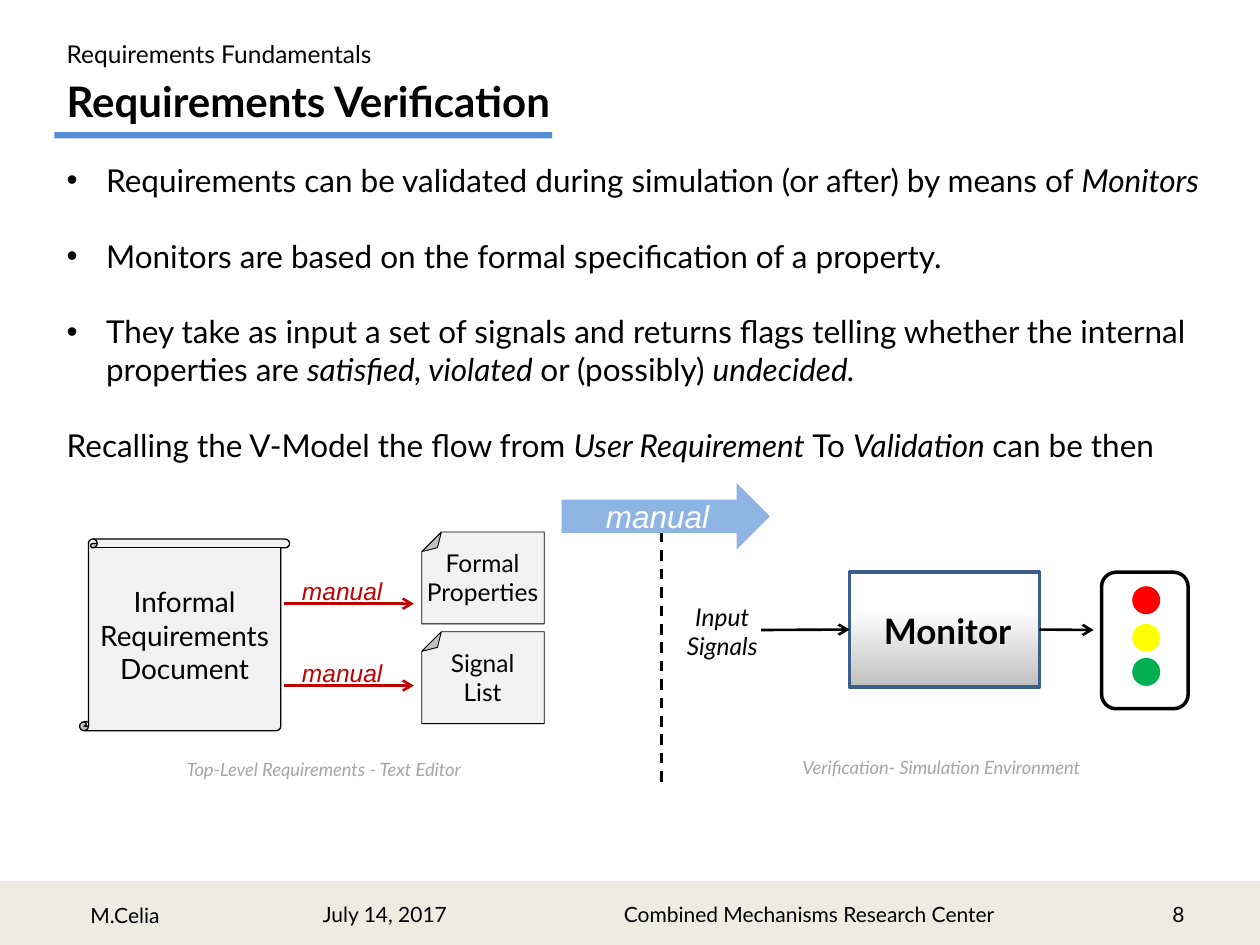
from pptx import Presentation
from pptx.util import Pt
from pptx.dml.color import RGBColor as Rgb
from pptx.enum.dml import MSO_LINE as Dash
from pptx.enum.shapes import MSO_CONNECTOR as Conn, MSO_SHAPE as Kind
from pptx.enum.text import MSO_ANCHOR as Anchor, PP_ALIGN as Align
from pptx.oxml.ns import qn
from lxml.etree import SubElement as Sub

INK = {
    "black": "000000", "white": "FFFFFF", "bar": "EEECE1", "rule": "558ED5",
    "arrow": "8EB4E3", "edge": "3A5F8C", "shade": "BFBFBF", "paper": "F2F2F2",
    "hand": "C00000", "note": "A6A6A6",
    "red": "FF0000", "yellow": "FFFF00", "green": "00B050",
}
LEFT, MID, RIGHT = Align.LEFT, Align.CENTER, Align.RIGHT


def ink(name):
    return Rgb.from_string(INK[name])


def add_run(para, words, size, color="black", bold=False, slant=False, face="Lato"):
    run = para.add_run()
    run.text = words
    font = run.font
    font.name, font.size, font.bold, font.italic = face, Pt(size), bold, slant
    font.color.rgb = ink(color)


def add_text(slide, box, lines, size, align=LEFT, anchor=Anchor.TOP, wrap=True, **style):
    frame = slide.shapes.add_textbox(*map(Pt, box)).text_frame
    frame.word_wrap = wrap
    frame.vertical_anchor = anchor
    for num, words in enumerate(lines):
        para = frame.add_paragraph() if num else frame.paragraphs[0]
        para.alignment = align
        add_run(para, words, size, **style)


def add_shape(slide, kind, box, fill=None, line=None, width=1, adj=None, turn=0):
    shape = slide.shapes.add_shape(kind, *map(Pt, box))
    shape.shadow.inherit = False
    shape.rotation = turn
    if adj is not None:
        guides = shape._element.spPr.find(qn("a:prstGeom")).find(qn("a:avLst"))
        guides.clear()
        Sub(guides, qn("a:gd"), name="adj", fmla=f"val {round(adj * 100000)}")
    if fill:
        shape.fill.solid()
        shape.fill.fore_color.rgb = ink(fill)
    else:
        shape.fill.background()
    if line:
        shape.line.color.rgb = ink(line)
        shape.line.width = Pt(width)
    else:
        shape.line.fill.background()
    return shape


def add_line(slide, start, end, color="black", head=True):
    link = slide.shapes.add_connector(Conn.STRAIGHT, *map(Pt, start + end))
    link.line.color.rgb = ink(color)
    link.line.width = Pt(1.5)
    if head:
        Sub(link.line._get_or_add_ln(), qn("a:tailEnd"), type="arrow")
    Sub(link._element.spPr, qn("a:effectLst"))
    return link


def add_points(slide, box, points, size):
    frame = slide.shapes.add_textbox(*map(Pt, box)).text_frame
    frame.word_wrap = True
    for num, (dot, parts) in enumerate(points):
        para = frame.add_paragraph() if num else frame.paragraphs[0]
        if dot:
            props = para._p.get_or_add_pPr()
            props.set("marL", str(Pt(22.5)))
            props.set("indent", str(Pt(-22.5)))
            Sub(props, qn("a:buFont"), typeface="Arial")
            Sub(props, qn("a:buChar"), char="•")
        if num:
            para.space_before = Pt(21.6)
        for words, slant in parts:
            add_run(para, words, size, slant=slant)


def add_head(slide):
    add_text(slide, (31, 18.5, 199, 46), ["Requirements Fundamentals"], 14)
    add_text(slide, (31, 39.5, 493, 36), ["Requirements Verification"], 24, bold=True)
    add_shape(slide, Kind.RECTANGLE, (31, 75.5, 284.5, 3.6), "rule")


def add_foot(slide):
    add_shape(slide, Kind.RECTANGLE, (0, 504.5, 720, 35.5), "bar", "bar", 2)
    add_text(slide, (44.5, 512, 81.5, 21.5), ["M.Celia"], 12)
    for left, width, words, align in (
        (139, 162, "July 14, 2017", MID),
        (348.5, 228, "Combined Mechanisms Research Center", MID),
        (516, 168, "8", RIGHT),
    ):
        add_text(slide, (left, 504.5, width, 35.5), [words], 12, align, Anchor.MIDDLE)


def add_body(slide):
    add_points(slide, (31, 88.5, 688, 181.5), [
        (True, [("Requirements can be validated during simulation (or after) by means of ", False),
                ("Monitors", True)]),
        (True, [("Monitors are based on the formal specification of a property.", False)]),
        (True, [("They take as input a set of signals and returns flags telling whether "
                 "the internal properties are ", False),
                ("satisfied, violated ", True), ("or (possibly) ", False),
                ("undecided.", True)]),
        (False, [("Recalling the V-Model the flow from ", False), ("User Requirement ", True),
                 ("To ", False), ("Validation ", True), ("can be then", False)]),
    ], 18)


def add_editor(slide):
    add_shape(slide, Kind.VERTICAL_SCROLL, (45.5, 308, 120, 109.5), "paper", "black", 0.75, 0.046)
    add_text(slide, (28, 330.5, 155, 65.5), ["Informal", "Requirements", "Document"], 16, MID)
    for top, words in ((304, ["Formal", "Properties"]), (361, ["Signal", "List"])):
        add_shape(slide, Kind.FOLDED_CORNER, (241, top, 70, 52.5), "paper", "black", 0.5, 0.213, 180)
        add_text(slide, (236, top + 5.5, 79.5, 41), words, 14, MID)
    for high in (345, 391.75):
        add_line(slide, (162.5, high), (236.5, high), "hand")
        add_text(slide, (165.5, high - 19.5, 71.5, 24.5), ["manual"], 14,
                 color="hand", slant=True, face="Arial")
    add_text(slide, (99.5, 430, 190, 20), ["Top-Level Requirements - Text Editor"], 10.5,
             color="note", slant=True)


def add_bridge(slide):
    add_line(slide, (378, 304), (378, 450), head=False).line.dash_style = Dash.DASH
    arrow = add_shape(slide, Kind.RIGHT_ARROW, (321, 276, 119, 38), "arrow")
    frame = arrow.text_frame
    frame.vertical_anchor = Anchor.MIDDLE
    para = frame.paragraphs[0]
    para.alignment = MID
    add_run(para, "manual", 18, "white", slant=True, face="Arial")


def add_monitor(slide):
    box = add_shape(slide, Kind.FLOWCHART_PROCESS, (485.5, 327, 108.5, 65.5), None, "edge", 2)
    box.fill.gradient()
    box.fill.gradient_angle = 270
    for stop, place, color in zip(box.fill.gradient_stops, (0.32, 1), ("white", "shade")):
        stop.position = place
        stop.color.rgb = ink(color)
    add_text(slide, (486, 345, 111, 31.5), ["Monitor"], 20, MID, bold=True)
    add_text(slide, (385, 340.5, 55.5, 41), ["Input", "Signals"], 14, MID, wrap=False, slant=True)
    add_line(slide, (435, 360), (485.5, 360)).end_connect(box, 1)
    add_line(slide, (594, 360), (625, 360)).begin_connect(box, 3)
    add_shape(slide, Kind.ROUNDED_RECTANGLE, (629.5, 327, 49.5, 78), None, "black", 2)
    for top, color in ((335, "red"), (356.5, "yellow"), (376, "green")):
        add_shape(slide, Kind.OVAL, (647, top, 16, 16), color)
    add_text(slide, (451.5, 428.5, 186, 20), ["Verification- Simulation Environment"], 10.5,
             color="note", slant=True)


def main():
    deck = Presentation()
    deck.slide_width, deck.slide_height = Pt(720), Pt(540)
    slide = deck.slides.add_slide(deck.slide_layouts[6])
    for part in (add_foot, add_head, add_body, add_bridge, add_editor, add_monitor):
        part(slide)
    deck.save("out.pptx")


if __name__ == "__main__":
    main()
